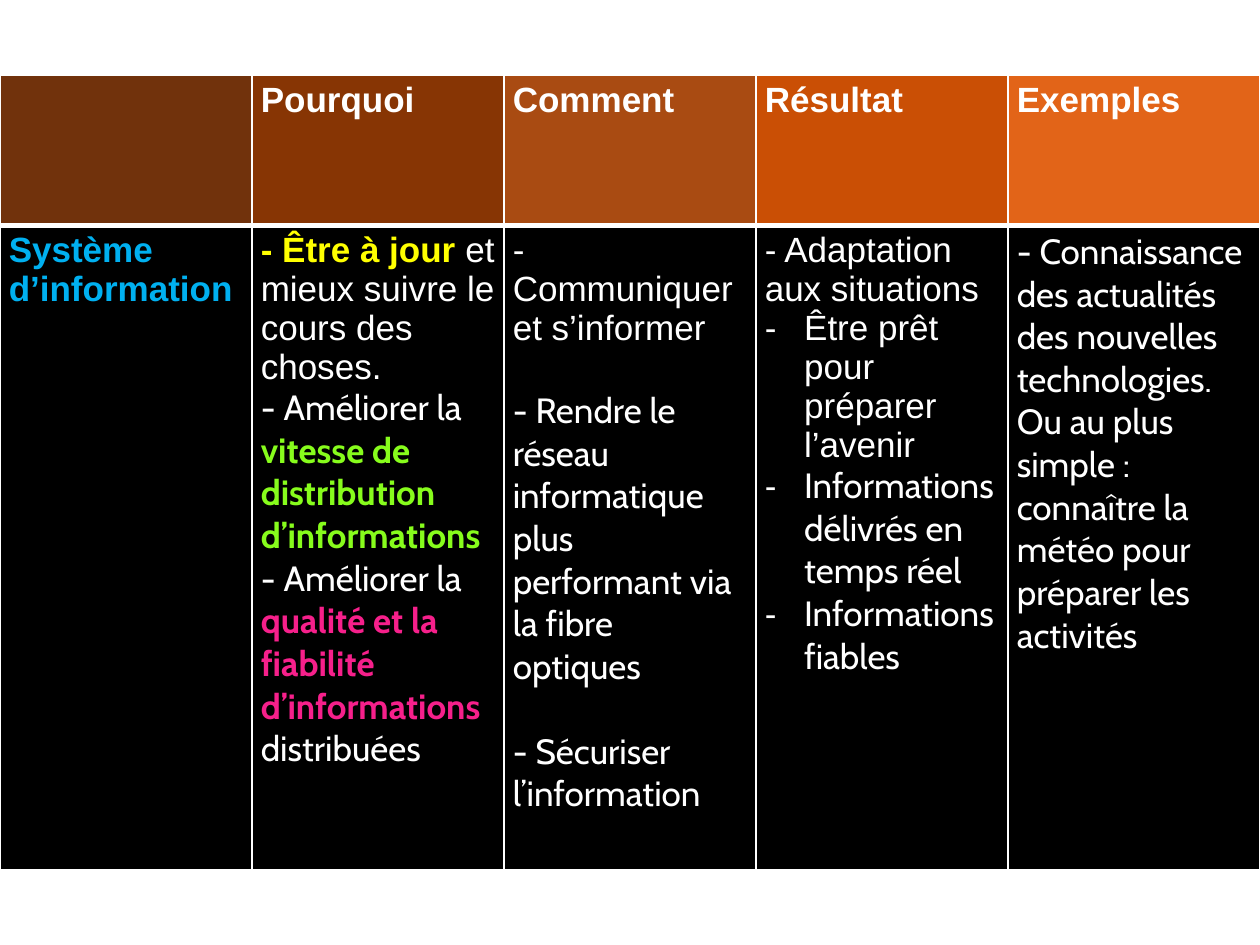
"""Build a slide with a table describing the purpose, means and results of an information system."""

from lxml.etree import SubElement
from pptx import Presentation
from pptx.dml.color import RGBColor
from pptx.enum.text import PP_ALIGN
from pptx.oxml import parse_xml
from pptx.oxml.ns import nsdecls, qn
from pptx.util import Pt

WHITE = RGBColor(0xFF, 0xFF, 0xFF)
BLACK = RGBColor(0x00, 0x00, 0x00)
BLUE = RGBColor(0x00, 0xB0, 0xF0)
YELLOW = RGBColor(0xFF, 0xFF, 0x00)
GREEN = RGBColor(0x87, 0xFC, 0x1C)
PINK = RGBColor(0xF6, 0x20, 0x8B)
HEADER_FILLS = [
    RGBColor(0x71, 0x32, 0x0C),
    RGBColor(0x87, 0x35, 0x04),
    RGBColor(0xA9, 0x4B, 0x12),
    RGBColor(0xCA, 0x4F, 0x05),
    RGBColor(0xE2, 0x64, 0x18),
]
HEADINGS = ["", "Pourquoi", "Comment", "Résultat", "Exemples"]
ROW_HEIGHTS = [85.68, 367.92]

# Each paragraph: font, layout, then runs of text with an optional bold colour.
BODY = [
    [("Arial", "plain", [("Système d’information", BLUE)])],
    [
        ("Arial", "plain", [("- Être à jour ", YELLOW), ("et mieux suivre le cours des choses.", None)]),
        ("Cabin", "plain", [("- Améliorer la ", None), ("vitesse de distribution d’informations", GREEN)]),
        ("Cabin", "plain", [
            ("- Améliorer la ", None),
            ("qualité et la fiabilité d’informations ", PINK),
            ("distribuées", None),
        ]),
    ],
    [
        ("Arial", "plain", [("- Communiquer et s’informer", None)]),
        ("Cabin", "spaced", [
            ("- Rendre le réseau informatique plus performant via la fibre optiques", None),
        ]),
        ("Cabin", "spaced", [("- Sécuriser l’information", None)]),
    ],
    [
        ("Arial", "plain", [("- Adaptation aux situations", None)]),
        ("Arial", "bullet", [("Être prêt pour préparer l’avenir", None)]),
        ("Cabin", "bullet", [("Informations délivrés en temps réel", None)]),
        ("Cabin", "bullet", [("Informations fiables", None)]),
    ],
    [
        ("Cabin", "plain", [("- Connaissance des actualités des nouvelles technologies.", None)]),
        ("Cabin", "plain", [("Ou au plus simple : connaître la météo pour préparer les activités", None)]),
    ],
]


def set_borders(cell, widths):
    properties = cell._tc.get_or_add_tcPr()
    for position, (side, width) in enumerate(widths.items()):
        line = parse_xml(
            f'<a:ln{side} {nsdecls("a")} w="{Pt(width)}"><a:solidFill>'
            f'<a:srgbClr val="{WHITE}"/></a:solidFill></a:ln{side}>'
        )
        properties.insert(position, line)


def write_paragraphs(cell, paragraphs):
    for index, (font_name, layout, runs) in enumerate(paragraphs):
        frame = cell.text_frame
        paragraph = frame.add_paragraph() if index else frame.paragraphs[0]
        paragraph.alignment = PP_ALIGN.LEFT
        if layout == "spaced":
            paragraph.space_before = Pt(24)
        elif layout == "bullet":
            properties = paragraph._p.get_or_add_pPr()
            properties.set("marL", str(Pt(22.5)))
            properties.set("indent", str(Pt(-22.5)))
            SubElement(properties, qn("a:buFont"), typeface="Arial")
            SubElement(properties, qn("a:buChar"), char="-")
        for text, bold_color in runs:
            run = paragraph.add_run()
            run.text = text
            run.font.name = font_name
            run.font.size = Pt(20)
            run.font.bold = bold_color is not None
            run.font.color.rgb = bold_color or WHITE


presentation = Presentation()
presentation.slide_width = Pt(720)
presentation.slide_height = Pt(540)
slide = presentation.slides.add_slide(presentation.slide_layouts[6])

shape = slide.shapes.add_table(2, 5, Pt(0), Pt(43.2), Pt(720), Pt(sum(ROW_HEIGHTS)))
table = shape.table
table.first_row = False
table.horz_banding = False
for row, height in zip(table.rows, ROW_HEIGHTS):
    row.height = Pt(height)

headers = [[("Arial", "plain", [(heading, WHITE)])] if heading else [] for heading in HEADINGS]
rows = [
    (headers, HEADER_FILLS, {"L": 1, "R": 1, "T": 1, "B": 3}),
    (BODY, [BLACK] * 5, {"L": 1, "R": 1, "T": 3, "B": 1}),
]
for row_index, (contents, fills, widths) in enumerate(rows):
    for column_index, (paragraphs, fill) in enumerate(zip(contents, fills)):
        cell = table.cell(row_index, column_index)
        cell.margin_left = cell.margin_right = Pt(5.04)
        cell.margin_top = cell.margin_bottom = Pt(2.88)
        cell.fill.solid()
        cell.fill.fore_color.rgb = fill
        set_borders(cell, widths)
        write_paragraphs(cell, paragraphs)

presentation.save("out.pptx")
